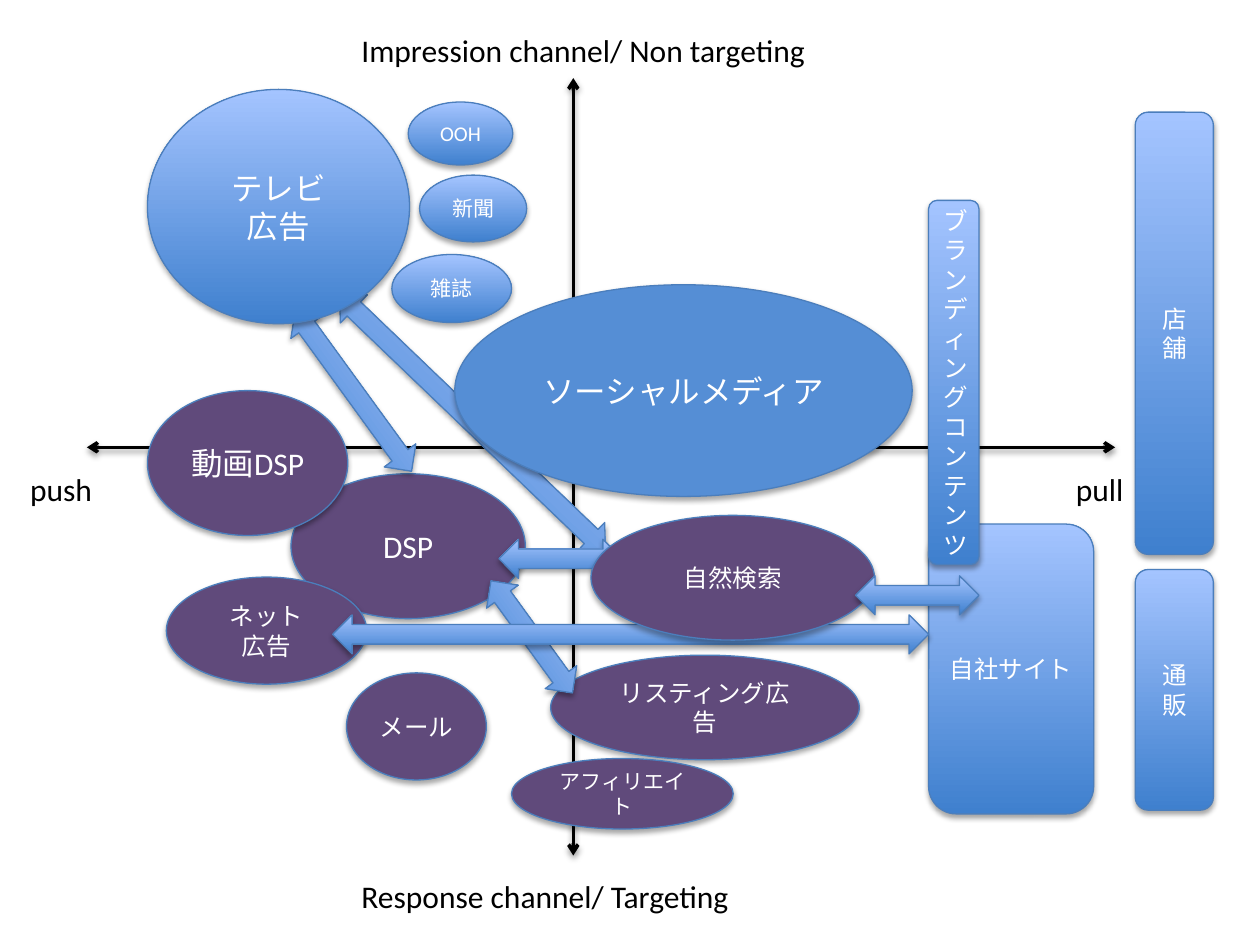
from lxml.etree import SubElement
from pptx import Presentation
from pptx.dml.color import RGBColor
from pptx.enum.shapes import MSO_CONNECTOR, MSO_SHAPE
from pptx.enum.text import MSO_ANCHOR, MSO_AUTO_SIZE, PP_ALIGN
from pptx.oxml.ns import qn
from pptx.util import Inches, Pt

COLUMNS, ROWS = 100, 75
CELL = Inches(0.1)
BLUE_BOTTOM, BLUE_TOP = "3F80CE", "A4C4FF"
PURPLE, SOCIAL_BLUE, OUTLINE = "604A7B", "558ED5", "4B7EBC"
BLACK, WHITE = "000000", "FFFFFF"
OVAL, BLOCK, ARROW = MSO_SHAPE.OVAL, MSO_SHAPE.ROUNDED_RECTANGLE, MSO_SHAPE.LEFT_RIGHT_ARROW
ARROW_HEIGHT = 3.1


def color(value):
    return RGBColor.from_string(value)


def grid(*cells):
    return [round(cell * CELL) for cell in cells]


def cast_shadow(shape, opacity, distance):
    properties = shape._element.spPr
    effects = SubElement(properties, qn("a:effectLst"))
    shadow = SubElement(effects, qn("a:outerShdw"), blurRad=str(Pt(3.1)),
                        dist=str(Pt(distance)), dir="5400000", rotWithShape="0")
    tone = SubElement(shadow, qn("a:srgbClr"), val=BLACK)
    SubElement(tone, qn("a:alpha"), val=str(opacity * 1000))


def write_text(frame, text, size, ink, align):
    frame.word_wrap = True
    frame.text = text
    for para in frame.paragraphs:
        para.alignment = align
        para.font.name = "Calibri"
        para.font.size = Pt(size)
        para.font.color.rgb = color(ink)


def add_axis(page, start, end):
    axis = page.shapes.add_connector(MSO_CONNECTOR.STRAIGHT, *grid(*start, *end))
    axis.line.color.rgb = color(BLACK)
    axis.line.width = Pt(2)
    line = axis._element.spPr.find(qn("a:ln"))
    for tag in ("a:headEnd", "a:tailEnd"):
        SubElement(line, qn(tag), type="arrow")
    cast_shadow(axis, 38, 1.6)


def add_label(page, text, left, top, width):
    box = page.shapes.add_textbox(*grid(left, top, width, 4))
    write_text(box.text_frame, text, 18, BLACK, PP_ALIGN.LEFT)
    box.text_frame.auto_size = MSO_AUTO_SIZE.SHAPE_TO_FIT_TEXT


def add_figure(page, kind, place, fill=None):
    figure = page.shapes.add_shape(kind, *grid(*place))
    if fill:
        figure.fill.solid()
        figure.fill.fore_color.rgb = color(fill)
    else:
        figure.fill.gradient()
        figure.fill.gradient_angle = 90
        for stop, tone, position in zip(figure.fill.gradient_stops, (BLUE_BOTTOM, BLUE_TOP), (0, 1)):
            stop.color.rgb = color(tone)
            stop.position = position
    figure.line.color.rgb = color(OUTLINE)
    figure.line.width = Pt(0.75)
    cast_shadow(figure, 35, 1.8)
    return figure


def add_channel(page, kind, text, size, place, fill=None):
    channel = add_figure(page, kind, place, fill)
    channel.text_frame.vertical_anchor = MSO_ANCHOR.MIDDLE
    write_text(channel.text_frame, text, size, WHITE, PP_ALIGN.CENTER)


def add_flow(page, left, top, width, angle=0):
    flow = add_figure(page, ARROW, (left, top, width, ARROW_HEIGHT))
    flow.rotation = angle


def main():
    deck = Presentation()
    deck.slide_width, deck.slide_height = grid(COLUMNS, ROWS)
    page = deck.slides.add_slide(deck.slide_layouts[6])

    add_axis(page, (6.9, 35.5), (88.5, 35.5))
    add_axis(page, (45.5, 6.2), (45.5, 67.9))
    add_label(page, "Impression channel/ Non targeting", 27.7, 2, 38.8)
    add_label(page, "Response channel/ Targeting", 27.7, 69.1, 38.8)
    add_label(page, "push", 1.4, 36.8, 8.6)
    add_label(page, "pull", 84.4, 36.8, 15.6)

    for channel in (
        (OVAL, "新聞", 12, (33.3, 13.9, 8.5, 5.3)),
        (OVAL, "雑誌", 12, (31.1, 20.2, 9.5, 5.4)),
        (OVAL, "OOH", 12, (32.4, 8.1, 8.3, 5)),
        (OVAL, "DSP", 18, (23.1, 37.6, 18.6, 11.5), PURPLE),
        (OVAL, "動画DSP", 18, (11.7, 31, 15.9, 11.5), PURPLE),
        (OVAL, "ネット\n広告", 14, (13.2, 45.8, 15.9, 8.5), PURPLE),
        (OVAL, "メール", 14, (27.5, 53.4, 11.1, 8.5), PURPLE),
        (OVAL, "リスティング広告", 14, (43.7, 52, 24.5, 8.3), PURPLE),
        (OVAL, "アフィリエイト", 12, (40.6, 60.2, 17.6, 5.6), PURPLE),
        (BLOCK, "自社サイト", 14, (73.7, 41.6, 13.1, 23)),
        (BLOCK, "店舗", 14, (90.1, 8.9, 6.2, 35.1)),
        (BLOCK, "通販", 14, (90.1, 45.2, 6.2, 19.1)),
    ):
        add_channel(page, *channel)

    add_flow(page, 22.9, 32, 29.2, 43.8)
    add_channel(page, OVAL, "ソーシャルメディア", 18, (36.1, 22.6, 36.3, 16.8), SOCIAL_BLUE)
    add_flow(page, 20.2, 29.5, 15.7, 54)
    add_channel(page, OVAL, "テレビ\n広告", 18, (11.7, 7.1, 20.8, 18.6))
    add_flow(page, 36.7, 49, 11, 54)
    add_flow(page, 39.6, 42.8, 9.8)
    add_flow(page, 26.4, 48.8, 47.3)
    add_channel(page, OVAL, "自然検索", 14, (46.9, 40.9, 22.5, 9.9), PURPLE)
    add_flow(page, 67.9, 45.7, 9.8)
    add_channel(page, BLOCK, "ブランディングコンテンツ", 14, (73.7, 15.9, 4, 28.9))

    deck.save("out.pptx")


if __name__ == "__main__":
    main()
